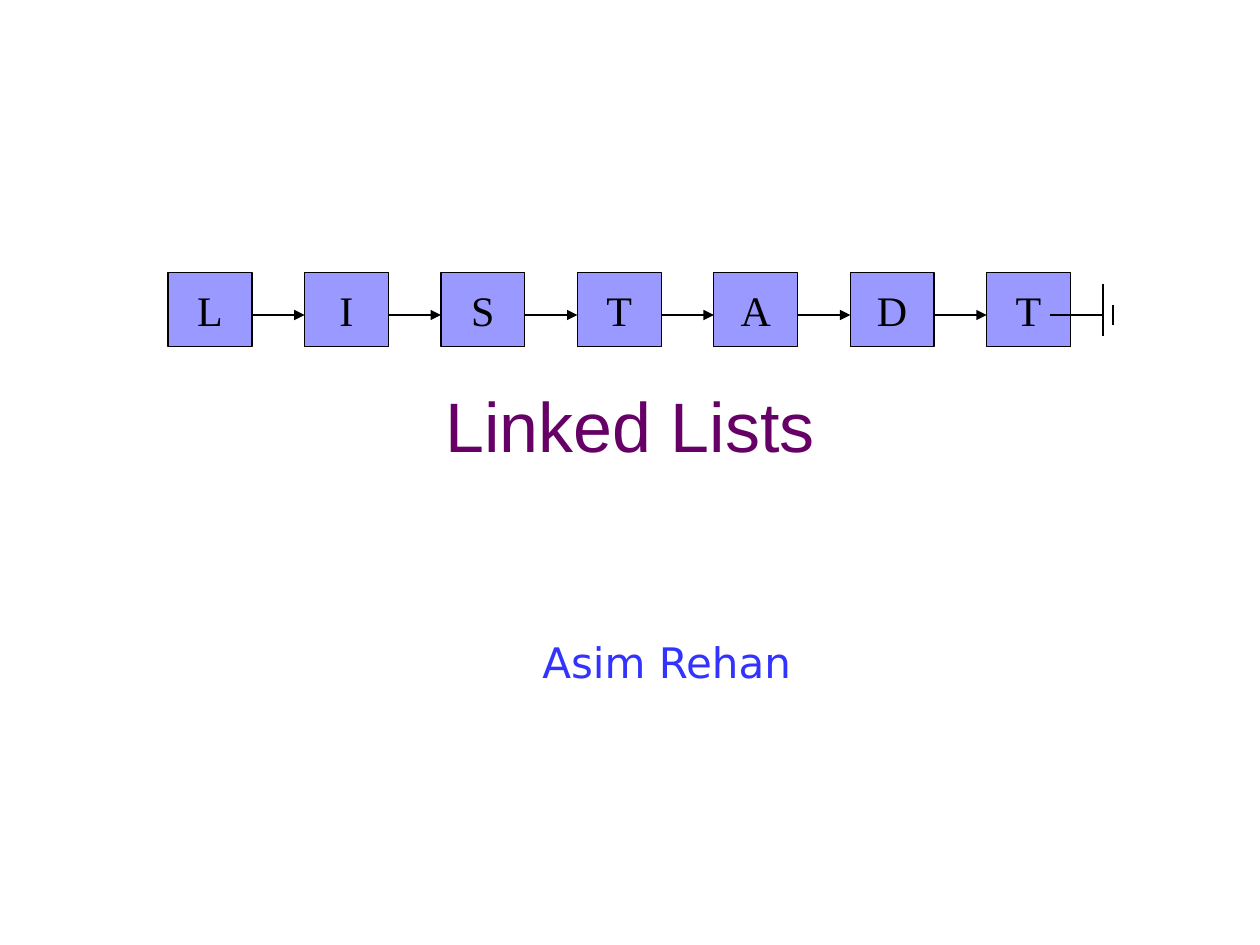
from dataclasses import dataclass

from lxml import etree
from pptx import Presentation
from pptx.dml.color import RGBColor
from pptx.enum.shapes import MSO_CONNECTOR, MSO_SHAPE
from pptx.enum.text import MSO_ANCHOR, PP_ALIGN
from pptx.oxml.ns import qn
from pptx.slide import Slide
from pptx.text.text import TextFrame
from pptx.util import Cm, Pt

RECTANGLE = MSO_SHAPE.RECTANGLE
STRAIGHT = MSO_CONNECTOR.STRAIGHT
CENTER = PP_ALIGN.CENTER
TOP = MSO_ANCHOR.TOP
MIDDLE = MSO_ANCHOR.MIDDLE
TITLE_ONLY = 5

LETTERS = "LISTADT"
NODE_LEFT, NODE_TOP = 3.39, 5.5
NODE_W, NODE_H = 1.69, 1.48
PITCH = 2.75
LINK_Y = 6.35


@dataclass
class Line:
    x1: float
    y1: float
    x2: float
    y2: float
    weight: float = 0.75
    arrow: bool = False


@dataclass
class TextStyle:
    font: str
    size: int
    color: str
    anchor: MSO_ANCHOR = MIDDLE
    wrap: bool = True


NODE_STYLE = TextStyle("Times New Roman", 24, "000000", wrap=False)
TITLE_STYLE = TextStyle("Arial", 40, "660066")
AUTHOR_STYLE = TextStyle("DejaVu Sans", 24, "3333FF", anchor=TOP)

GROUND = [
    Line(21.17, LINK_Y, 22.23, LINK_Y, 1),
    Line(22.23, 5.72, 22.23, 6.77, 1),
    Line(22.44, 6.14, 22.44, 6.56, 1),
]


def rgb(color: str) -> RGBColor:
    return RGBColor.from_string(color)


def set_text(tf: TextFrame, text: str, style: TextStyle) -> None:
    tf.text = text
    tf.word_wrap = style.wrap
    tf.vertical_anchor = style.anchor
    p = tf.paragraphs[0]
    p.alignment = CENTER
    font = p.runs[0].font
    font.name = style.font
    font.size = Pt(style.size)
    font.color.rgb = rgb(style.color)


def add_node(slide: Slide, letter: str, left: float) -> None:
    sp = slide.shapes.add_shape(
        RECTANGLE, Cm(left), Cm(NODE_TOP), Cm(NODE_W), Cm(NODE_H)
    )
    sp.shadow.inherit = False
    sp.fill.solid()
    sp.fill.fore_color.rgb = rgb("9999FF")
    sp.line.color.rgb = rgb("000000")
    sp.line.width = Pt(0.75)
    set_text(sp.text_frame, letter, NODE_STYLE)


def add_line(slide: Slide, line: Line) -> None:
    cxn = slide.shapes.add_connector(
        STRAIGHT, Cm(line.x1), Cm(line.y1), Cm(line.x2), Cm(line.y2)
    )
    cxn.line.color.rgb = rgb("000000")
    cxn.line.width = Pt(line.weight)
    if line.arrow:
        ln = cxn.line._get_or_add_ln()
        etree.SubElement(ln, qn("a:tailEnd"), type="triangle")
    etree.SubElement(cxn._element.spPr, qn("a:effectLst"))


def main() -> None:
    prs = Presentation()
    prs.slide_width, prs.slide_height = Cm(25.4), Cm(19.05)
    slide = prs.slides.add_slide(prs.slide_layouts[TITLE_ONLY])

    title = slide.shapes.title
    title.left, title.top = Cm(1.9), Cm(6.5)
    title.width, title.height = Cm(21.6), Cm(4.1)
    set_text(title.text_frame, "Linked Lists", TITLE_STYLE)

    author = slide.shapes.add_textbox(Cm(5.72), Cm(12.7), Cm(15.44), Cm(2.1))
    set_text(author.text_frame, "Asim Rehan", AUTHOR_STYLE)
    author.text_frame.paragraphs[0].space_before = Pt(6)

    for i, letter in enumerate(LETTERS):
        left = NODE_LEFT + i * PITCH
        add_node(slide, letter, left)
        if i < len(LETTERS) - 1:
            link = Line(left + NODE_W, LINK_Y, left + PITCH, LINK_Y, arrow=True)
            add_line(slide, link)

    for line in GROUND:
        add_line(slide, line)

    prs.save("out.pptx")


if __name__ == "__main__":
    main()
